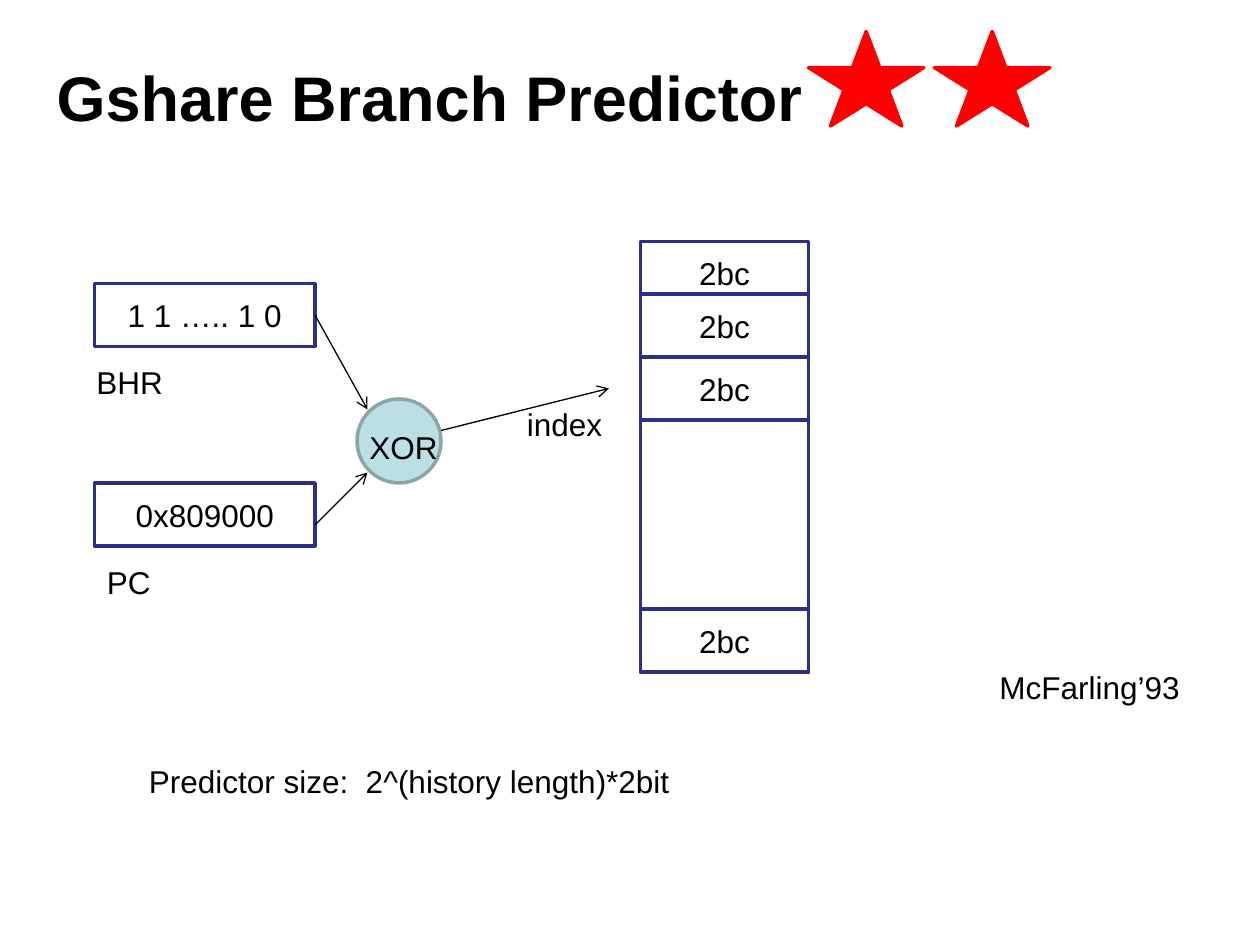
from typing import NamedTuple, Optional

from lxml.etree import SubElement
from pptx import Presentation
from pptx.dml.color import RGBColor
from pptx.enum.shapes import MSO_CONNECTOR as Conn, MSO_SHAPE as Kind
from pptx.enum.text import MSO_ANCHOR as Anchor, MSO_AUTO_SIZE as Auto, PP_ALIGN as Align
from pptx.oxml.ns import qn
from pptx.util import Emu, Pt

PX = 914400 // 120  # 120 px to the inch
COLORS = {
    "black": "000000",
    "white": "FFFFFF",
    "navy": "2D2D8A",
    "aqua": "BBE0E3",
    "gray": "8AA6A8",
    "red": "FF0000",
}


class Box(NamedTuple):
    left: int
    top: int
    width: int
    height: int
    text: str = ""
    fill: Optional[str] = "white"
    line: str = "navy"
    kind: Kind = Kind.RECTANGLE


class Label(NamedTuple):
    left: int
    top: int
    width: int
    text: str
    wrap: bool = True


class Arrow(NamedTuple):
    x1: int
    y1: int
    x2: int
    y2: int


def px(*sizes: int) -> list[Emu]:
    return [Emu(size * PX) for size in sizes]


def color(name: str) -> RGBColor:
    return RGBColor.from_string(COLORS[name])


def set_text(frame, text: str, size: int = 18, bold: bool = False, align=Align.LEFT) -> None:
    frame.text = text
    para = frame.paragraphs[0]
    para.alignment = align
    for run in para.runs:
        font = run.font
        font.name, font.size, font.bold = "Arial", Pt(size), bold
        font.color.rgb = color("black")


def draw_box(slide, box: Box):
    shape = slide.shapes.add_shape(box.kind, *px(*box[:4]))
    shape.shadow.inherit = False
    if box.fill:
        shape.fill.solid()
        shape.fill.fore_color.rgb = color(box.fill)
    else:
        shape.fill.background()
    shape.line.color.rgb = color(box.line)
    shape.line.width = Pt(2)
    if box.text:
        set_text(shape.text_frame, box.text, align=Align.CENTER)
        shape.text_frame.vertical_anchor = Anchor.MIDDLE
    return shape


def draw_label(slide, label: Label) -> None:
    frame = slide.shapes.add_textbox(*px(label.left, label.top, label.width, 48)).text_frame
    frame.word_wrap = label.wrap
    frame.auto_size = Auto.SHAPE_TO_FIT_TEXT
    set_text(frame, label.text)


def draw_arrow(slide, arrow: Arrow):
    line = slide.shapes.add_connector(Conn.STRAIGHT, *px(*arrow))
    line.line.color.rgb = color("black")
    line.line.width = Pt(0.75)
    SubElement(line.line._get_or_add_ln(), qn("a:tailEnd"), type="arrow")
    SubElement(line._element.spPr, qn("a:effectLst"))
    return line


def main() -> None:
    deck = Presentation()
    deck.slide_width, deck.slide_height = px(1200, 900)
    slide = deck.slides.add_slide(deck.slide_layouts[5])

    title = slide.shapes.title
    title.left, title.top, title.width, title.height = px(42, 42, 1080, 100)
    set_text(title.text_frame, "Gshare Branch Predictor", size=36, bold=True)
    title.text_frame.vertical_anchor = Anchor.MIDDLE
    title.text_frame.auto_size = Auto.NONE

    # Table of two-bit counters
    draw_box(slide, Box(610, 230, 160, 410))
    for top in (230, 280, 340, 580):
        draw_box(slide, Box(610, top, 160, 60, "2bc"))

    # History and address feed the hash, which gives the index
    history = draw_box(slide, Box(90, 270, 210, 60, "1 1 ….. 1 0", fill=None))
    draw_box(slide, Box(90, 460, 210, 60, "0x809000", fill=None))
    draw_arrow(slide, Arrow(300, 300, 350, 390)).begin_connect(history, 3)
    draw_arrow(slide, Arrow(300, 500, 350, 450))
    draw_box(slide, Box(340, 380, 80, 80, fill="aqua", line="gray", kind=Kind.OVAL))
    draw_arrow(slide, Arrow(420, 410, 580, 370))

    for label in (
        Label(80, 340, 200, "BHR"),
        Label(90, 530, 200, "PC"),
        Label(340, 402, 90, "XOR", wrap=False),
        Label(490, 380, 97, "index", wrap=False),
        Label(940, 630, 198, "McFarling’93", wrap=False),
        Label(130, 720, 850, "Predictor size:  2^(history length)*2bit"),
    ):
        draw_label(slide, label)

    for left in (770, 890):
        draw_box(slide, Box(left, 30, 110, 90, fill="red", line="red", kind=Kind.STAR_5_POINT))

    deck.save("out.pptx")


if __name__ == "__main__":
    main()
